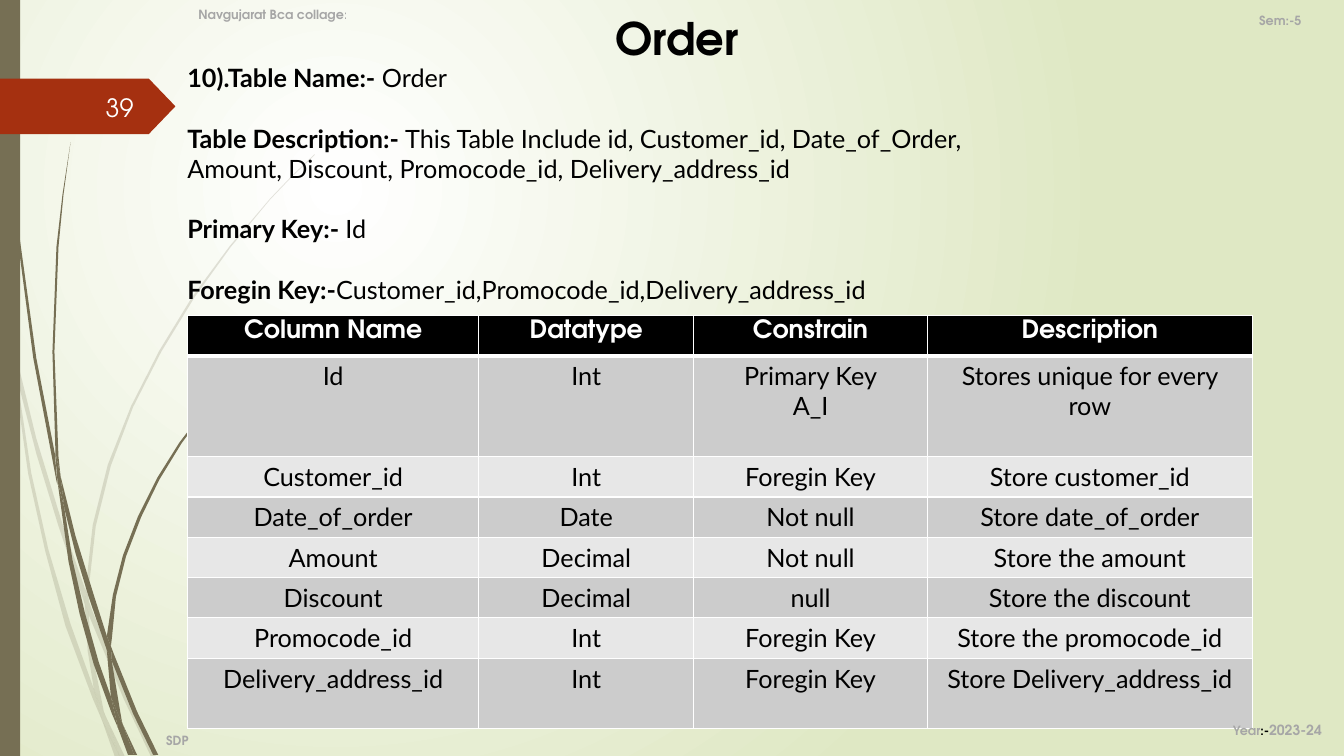
from lxml.etree import SubElement
from pptx import Presentation
from pptx.dml.color import RGBColor
from pptx.enum.shapes import MSO_SHAPE
from pptx.enum.text import MSO_ANCHOR, PP_ALIGN
from pptx.oxml import parse_xml
from pptx.oxml.ns import nsdecls, qn
from pptx.util import Inches, Pt

BODY, HEAD = "Lato", "TeX Gyre Adventor"
BLACK, WHITE, GREY = "000000", "FFFFFF", "A6A6A6"
OLIVE, RED = "766F54", "A53010"


def rgb(value):
    return RGBColor.from_string(value)


class SlideBuilder:
    label = dict(name=HEAD, size=Pt(9), color=GREY, bold=True)
    body = dict(name=BODY, size=Pt(18), color=BLACK, bold=False)

    def __init__(self, prs):
        self.s = prs.slides.add_slide(prs.slide_layouts[5])

    def background(self, inner, outer):
        fill = self.s.background.fill
        fill.gradient()
        for stop, color, pos in zip(fill.gradient_stops, (inner, outer), (0, 1)):
            stop.color.rgb, stop.position = rgb(color), pos
        grad = self.s.background._cSld.find(".//" + qn("a:gradFill"))
        grad.replace(grad.find(qn("a:lin")), parse_xml(
            f'<a:path {nsdecls("a")} path="circle">'
            '<a:fillToRect l="50000" t="50000" r="100000" b="100000"/></a:path>'))

    def paint(self, sp, color, alpha=None):
        sp.shadow.inherit = False
        sp.fill.solid()
        sp.fill.fore_color.rgb = rgb(color)
        sp.line.fill.background()
        if alpha:
            clr = sp._element.spPr.find(qn("a:solidFill"))[0]
            SubElement(clr, qn("a:alpha")).set("val", str(alpha * 1000))

    def shape(self, kind, box, color):
        sp = self.s.shapes.add_shape(kind, *map(Inches, box))
        self.paint(sp, color)
        return sp

    def blade(self, outline, alpha):
        start, *rest = [tuple(Inches(float(n)) for n in point.split(","))
                        for point in outline.split()]
        fb = self.s.shapes.build_freeform(*start)
        fb.add_line_segments(rest)
        self.paint(fb.convert_to_shape(), OLIVE, alpha)

    def runs(self, p, parts, style):
        for text, changes in parts:
            r = p.add_run()
            r.text = text
            for key, value in {**style, **changes}.items():
                if key == "color":
                    r.font.color.rgb = rgb(value)
                else:
                    setattr(r.font, key, value)

    def fill_text(self, tf, paragraphs, style, align=PP_ALIGN.LEFT, gap=0):
        for i, parts in enumerate(paragraphs):
            p = tf.add_paragraph() if i else tf.paragraphs[0]
            p.alignment = align
            p.space_before = Pt(gap if i else 0)
            self.runs(p, parts, style)

    def text(self, box, paragraphs, style, anchor=MSO_ANCHOR.TOP, gap=0):
        tf = self.s.shapes.add_textbox(*map(Inches, box)).text_frame
        tf.word_wrap, tf.vertical_anchor = True, anchor
        self.fill_text(tf, paragraphs, style, gap=gap)

    def title(self, box, text):
        sp = self.s.shapes.title
        sp.left, sp.top, sp.width, sp.height = map(Inches, box)
        sp.text_frame.vertical_anchor = MSO_ANCHOR.TOP
        self.fill_text(sp.text_frame, [[(text, {})]],
                       {**self.label, "size": Pt(32), "color": BLACK})

    def borders(self, cell, bottom):
        tc_pr = cell._tc.get_or_add_tcPr()
        for i, (side, pt) in enumerate(zip("LRTB", (1, 1, 1, bottom))):
            tc_pr.insert(i, parse_xml(
                f'<a:ln{side} {nsdecls("a")} w="{Pt(pt)}"><a:solidFill>'
                f'<a:srgbClr val="{WHITE}"/></a:solidFill></a:ln{side}>'))

    def table(self, left, top, widths, heights, rows):
        box = (left, top, sum(widths), sum(heights))
        tbl = self.s.shapes.add_table(len(rows), len(widths), *map(Inches, box)).table
        for col, width in zip(tbl.columns, widths):
            col.width = Inches(width)
        for row, height in zip(tbl.rows, heights):
            row.height = Inches(height)
        header = {**self.label, "size": Pt(18), "color": WHITE}
        for i, values in enumerate(rows):
            color = ("E7E7E7", "CCCCCC")[i % 2] if i else BLACK
            for j, value in enumerate(values):
                cell = tbl.cell(i, j)
                cell.margin_top = Inches(0.05 if i else 0.04)
                cell.margin_bottom = Inches(0.03 if i else 0)
                cell.fill.solid()
                cell.fill.fore_color.rgb = rgb(color)
                self.borders(cell, 1 if i else 3)
                lines = [[(line, {})] for line in value.split("\n")]
                self.fill_text(cell.text_frame, lines,
                               self.body if i else header, PP_ALIGN.CENTER)


# Outlines of the grass pieces, as x,y in inches
PALE_BLADES = [
    "0.11,3.5 0.09,3.22 0,2.82 0,2.99 0.1,3.44",
    "0.58,5.22 0.84,5.99 0.85,5.86 0.62,5.2 0.36,4.35 0.14,3.45 0.17,3.76 0.36,4.5",
    "0.92,6.07 0.88,5.96 0.88,6.1 1.23,6.94 1.5,7.51 1.55,7.51 1.27,6.92",
    "1.19,7.51 1.24,7.51 1.05,7.11",
    "0.93,6.83 0.7,6.19 0.48,5.45 0.31,4.69 0.17,3.76 0.11,3.5 0.28,4.7 0.45,5.47 "
    "0.65,6.21 0.92,6.93 1.01,7.14 0.99,7.07",
    "0.84,5.99 0.87,6.46 0.93,6.83 0.96,6.92 1.05,7.11 1.03,7.06 0.91,6.46 0.88,6.1 0.88,6.08",
    "0.88,5.84 0.95,5.22 1.1,4.62 1.32,4.04 1.6,3.49 1.93,2.95 2.29,2.45 2.68,1.98 2.9,1.75 "
    "3.12,1.54 3.12,1.53 2.89,1.75 2.68,1.97 2.28,2.44 1.91,2.94 1.58,3.48 1.3,4.03 "
    "1.07,4.61 0.92,5.21 0.85,5.84 0.85,5.86 0.88,5.96",
    "1.01,7.14 1.14,7.51 1.19,7.51",
    "0.88,6.08 0.88,6.1 0.88,5.96 0.85,5.86 0.84,5.99",
    "0.96,6.92 0.93,6.83 0.99,7.07 1.01,7.14 1.19,7.51 1.05,7.11",
]
DARK_BLADES = [
    "0.07,1.1 0.17,2.33 0.33,3.55 0.56,4.77 0.57,4.81 0.55,4.57 0.55,4.53 0.36,3.55 "
    "0.19,2.32 0.08,1.09 0.05,0.48 0.04,0 0.03,0 0.04,0.48",
    "0.88,5.92 1.06,6.45 1.06,6.31 0.93,5.9 0.75,5.32 0.6,4.72 0.64,5.05 0.75,5.49",
    "1.13,6.49 1.1,6.41 1.11,6.56 1.32,7.08 1.52,7.49 1.57,7.49 1.36,7.06",
    "1.1,6.91 0.98,6.57 0.84,6.07 0.72,5.56 0.64,5.05 0.57,4.77 0.68,5.57 0.79,6.09 "
    "0.93,6.59 1.11,7.08 1.17,7.22 1.16,7.17",
    "0.6,4.72 0.58,4.53 0.54,3.49 0.58,2.45 0.63,1.93 0.7,1.41 0.62,1.93 0.56,2.45 "
    "0.52,3.49 0.55,4.49",
    "1.33,7.49 1.36,7.49 1.22,7.19",
    "0.57,4.77 0.64,5.05 0.6,4.72 0.55,4.49 0.55,4.53",
    "1.11,6.33 1.15,5.92 1.25,5.52 1.4,5.13 1.58,4.76 1.8,4.4 2.05,4.06 2.31,3.74 2.45,3.59 "
    "2.61,3.44 2.6,3.44 2.31,3.73 2.04,4.05 1.78,4.39 1.56,4.74 1.37,5.12 1.22,5.51 "
    "1.12,5.9 1.06,6.31 1.1,6.41",
    "1.17,7.22 1.27,7.49 1.31,7.49",
    "1.06,6.45 1.1,6.91 1.16,7.06 1.22,7.19 1.21,7.16 1.11,6.56 1.09,6.51",
    "1.06,6.45 1.11,6.56 1.1,6.41 1.06,6.31",
    "1.16,7.06 1.1,6.91 1.16,7.17 1.17,7.22 1.3,7.49 1.33,7.49 1.22,7.19",
]

DETAILS = [
    ("10).Table Name:-", " Order"),
    ("Table Description:- ", "This Table Include id, Customer_id, Date_of_Order, "
     "Amount, Discount, Promocode_id, Delivery_address_id"),
    ("Primary Key:- ", "Id"),
    ("Foregin Key:-", "Customer_id,Promocode_id,Delivery_address_id"),
]
ROWS = [
    ("Column Name", "Datatype", "Constrain", "Description"),
    ("Id", "Int", "Primary Key\nA_I", "Stores unique for every row"),
    ("Customer_id", "Int", "Foregin Key", "Store customer_id"),
    ("Date_of_order", "Date", "Not null", "Store date_of_order"),
    ("Amount", "Decimal", "Not null", "Store the amount"),
    ("Discount", "Decimal", "null", "Store the discount"),
    ("Promocode_id", "Int", "Foregin Key", "Store the promocode_id"),
    ("Delivery_address_id", "Int", "Foregin Key", "Store Delivery_address_id"),
]
# Corner labels: box and runs
LABELS = [
    ((1.87, 0, 2, 0.28), [("Navgujarat Bca collage", {}), (":", {"bold": False})]),
    ((12.39, 0, 0.94, 0.4), [("Sem:-5", {})]),
    ((1.55, 7.22, 6.67, 0.25), [("SDP", {})]),
    ((12.13, 7.04, 1.2, 0.4), [("Year", {}), (":-", {"color": BLACK}),
                               ("2023-24", {"size": Pt(10)})]),
]


def main():
    prs = Presentation()
    prs.slide_width, prs.slide_height = Inches(13.33), Inches(7.5)
    b = SlideBuilder(prs)

    # Backdrop
    b.background(WHITE, "DFE8C4")
    for outlines, alpha in ((PALE_BLADES, 20), (DARK_BLADES, None)):
        for outline in outlines:
            b.blade(outline, alpha)
    b.shape(MSO_SHAPE.RECTANGLE, (0, 0, 0.2, 7.5), OLIVE)

    # Page number flag
    flag = b.shape(MSO_SHAPE.PENTAGON, (0, 0.78, 1.74, 0.55), RED)
    flag.adjustments[0] = 0.48
    b.text((0.95, 0.87, 6.67, 0.4), [[("39", {})]],
           {**b.body, "name": HEAD, "color": WHITE})

    # Title, details and table
    b.title((6, 0.06, 6.67, 0.64), "Order")
    b.text((1.76, 0.57, 8.19, 2.83),
           [[(key, {"bold": True}), (value, {})] for key, value in DETAILS],
           b.body, gap=21.6)
    b.table(1.86, 3.13, (2.89, 2.13, 2.32, 3.22), (0.4, 1, *[0.4] * 5, 0.7), ROWS)

    # Corner labels
    for box, parts in LABELS:
        b.text(box, [parts], b.label, MSO_ANCHOR.MIDDLE)

    prs.save("out.pptx")


if __name__ == "__main__":
    main()
